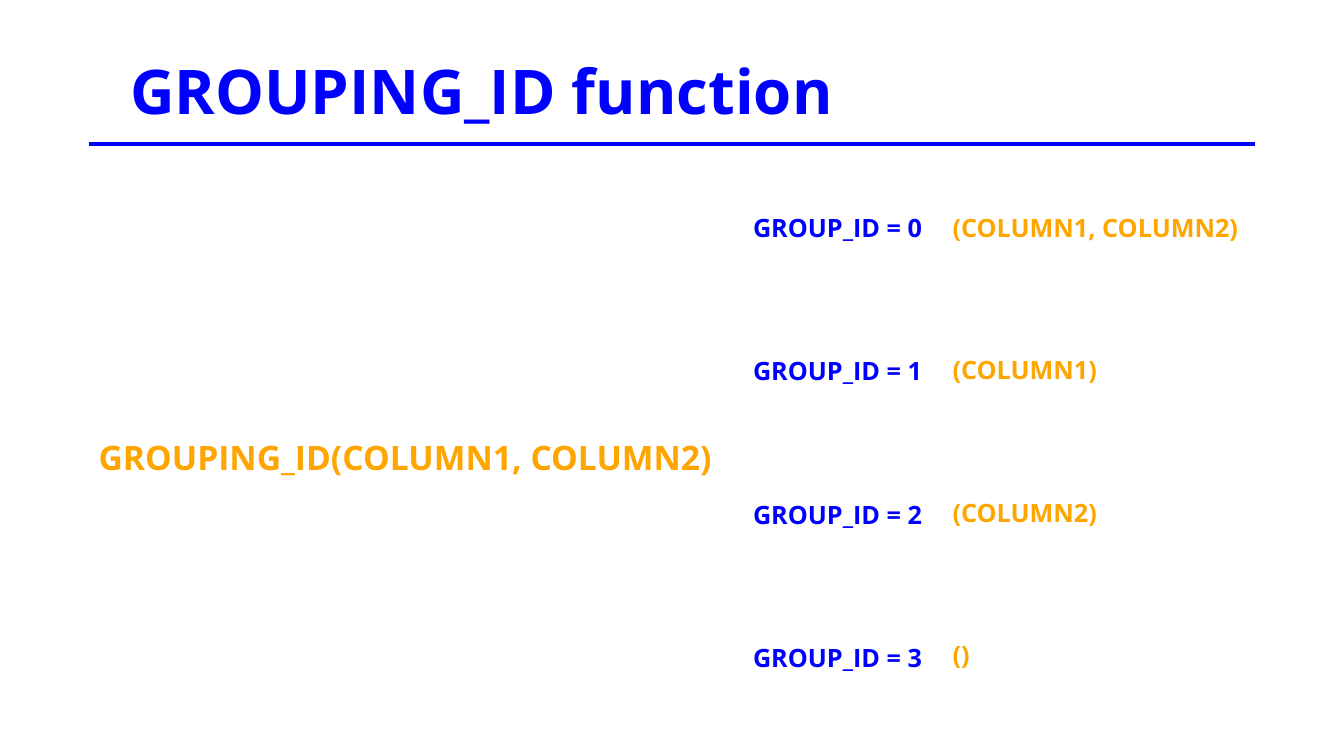
from lxml.etree import SubElement
from pptx import Presentation
from pptx.dml.color import RGBColor
from pptx.enum.shapes import MSO_CONNECTOR
from pptx.enum.text import MSO_ANCHOR, MSO_AUTO_SIZE, PP_ALIGN
from pptx.oxml.ns import qn
from pptx.util import Inches, Pt

COLORS = {"blue": "0000FF", "orange": "FFA500", "white": "FFFFFF"}
GROUPING_SETS = ["(COLUMN1, COLUMN2)", "(COLUMN1)", "(COLUMN2)", "()"]
FIRST_ROW_TOP = 2.06
ID_STEP = 1.42
SET_STEP = 1.41


class SlideBuilder:
    font_name = "Open Sans"

    def __init__(self, slide):
        self.slide = slide

    def color(self, name):
        return RGBColor.from_string(COLORS[name])

    def set_text(self, shape, text, size, color, frame_format):
        frame = shape.text_frame
        for attribute, value in frame_format.items():
            setattr(frame, attribute, value)
        paragraph = frame.paragraphs[0]
        paragraph.alignment = PP_ALIGN.LEFT
        run = paragraph.add_run()
        run.text = text
        font_format = {"name": self.font_name, "size": Pt(size), "bold": True}
        for attribute, value in font_format.items():
            setattr(run.font, attribute, value)
        run.font.color.rgb = self.color(color)

    def title(self, text, left, top, width, height):
        heading = self.slide.shapes.title
        bounds = {"left": left, "top": top, "width": width, "height": height}
        for attribute, value in bounds.items():
            setattr(heading, attribute, Inches(value))
        heading.fill.solid()
        heading.fill.fore_color.rgb = self.color("white")
        self.set_text(heading, text, 44, "blue", {
            "word_wrap": True,
            "auto_size": MSO_AUTO_SIZE.NONE,
            "vertical_anchor": MSO_ANCHOR.MIDDLE,
        })

    def rule(self, left, right, top):
        underline = self.slide.shapes.add_connector(
            MSO_CONNECTOR.STRAIGHT,
            Inches(left), Inches(top), Inches(right), Inches(top))
        underline.line.color.rgb = self.color("blue")
        underline.line.width = Pt(3)
        SubElement(underline._element.spPr, qn("a:effectLst"))

    def label(self, text, left, top, width, height, size, color):
        box = self.slide.shapes.add_textbox(
            Inches(left), Inches(top), Inches(width), Inches(height))
        self.set_text(box, text, size, color, {
            "word_wrap": True,
            "auto_size": MSO_AUTO_SIZE.SHAPE_TO_FIT_TEXT,
            "vertical_anchor": MSO_ANCHOR.TOP,
        })


def main():
    presentation = Presentation()
    presentation.slide_width = Inches(13.33)
    presentation.slide_height = Inches(7.5)
    title_only = presentation.slide_layouts[5]
    builder = SlideBuilder(presentation.slides.add_slide(title_only))

    builder.title("GROUPING_ID function", 1.19, 0.51, 10.89, 0.77)
    builder.rule(0.88, 12.45, 1.43)
    builder.label("GROUPING_ID(COLUMN1, COLUMN2)",
                  0.88, 4.29, 6.49, 0.5, 24, "orange")
    for group_id, grouping_set in enumerate(GROUPING_SETS):
        builder.label(f"GROUP_ID = {group_id}", 7.37,
                      FIRST_ROW_TOP + group_id * ID_STEP, 1.99, 0.4, 18, "blue")
        builder.label(grouping_set, 9.35,
                      FIRST_ROW_TOP + group_id * SET_STEP, 3.1, 0.4, 18, "orange")

    presentation.save("out.pptx")


if __name__ == "__main__":
    main()
